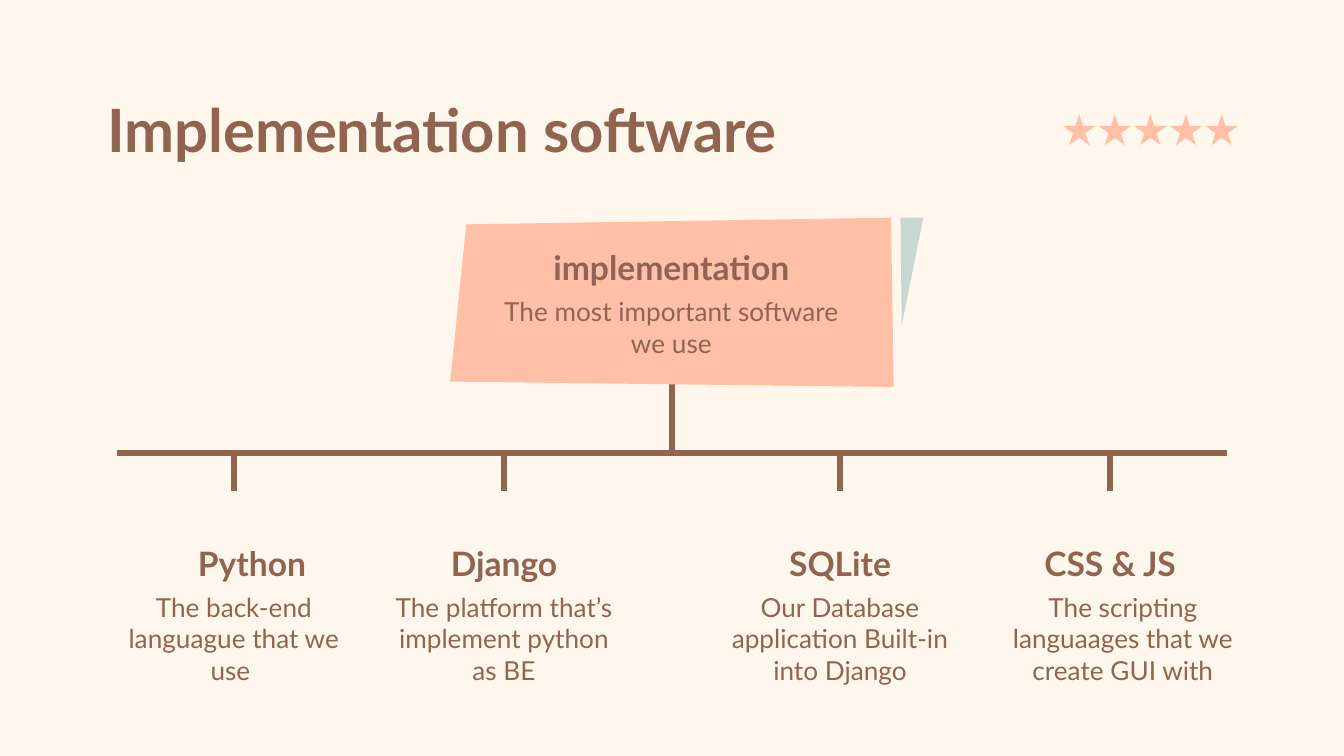
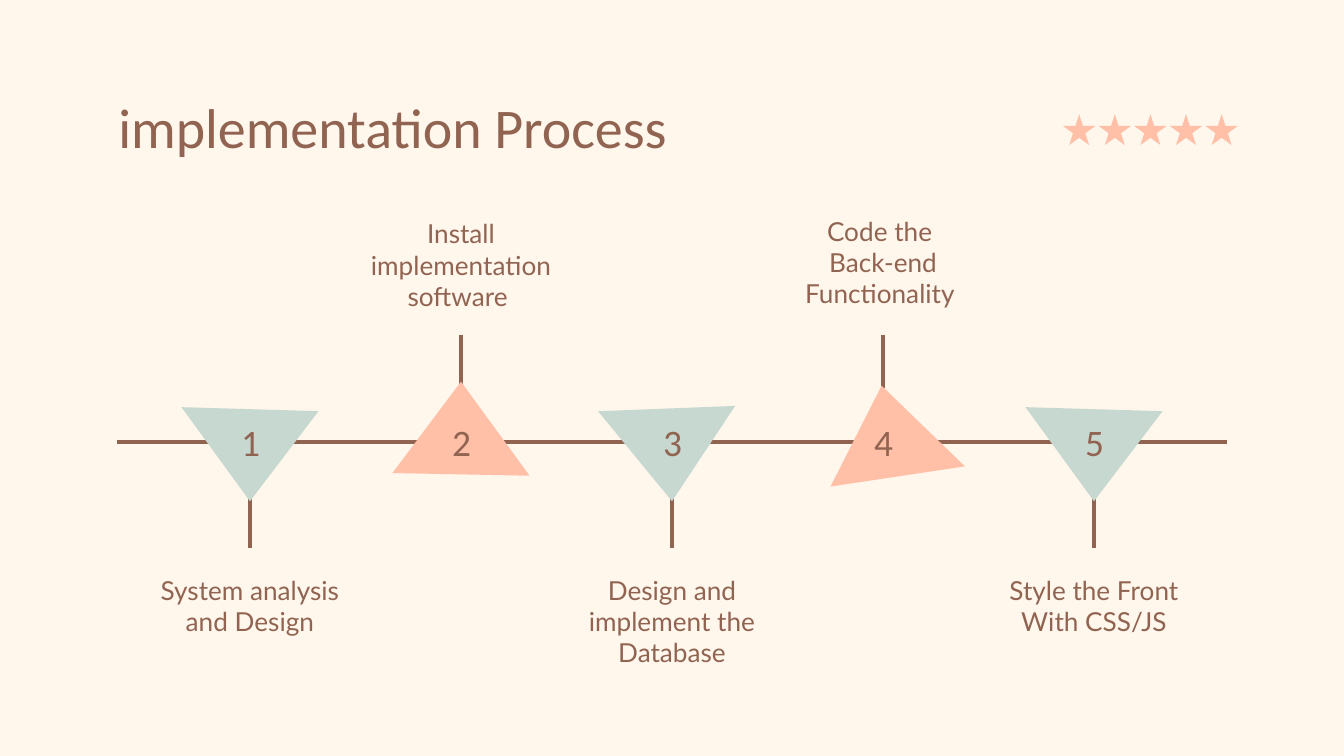
from lxml import etree
from pptx import Presentation
from pptx.dml.color import RGBColor
from pptx.enum.shapes import MSO_CONNECTOR, MSO_SHAPE
from pptx.enum.text import MSO_ANCHOR, MSO_AUTO_SIZE, PP_ALIGN
from pptx.oxml.ns import qn
from pptx.util import Inches, Pt

STRAIGHT = MSO_CONNECTOR.STRAIGHT
STAR = MSO_SHAPE.STAR_5_POINT
TOP, MIDDLE, BOTTOM = MSO_ANCHOR.TOP, MSO_ANCHOR.MIDDLE, MSO_ANCHOR.BOTTOM
LEFT, CENTER = PP_ALIGN.LEFT, PP_ALIGN.CENTER
NO_AUTOFIT = MSO_AUTO_SIZE.NONE

COLORS = {"cream": "FFF6EC", "brown": "916452", "peach": "FFC0A7", "mint": "C7D8D0"}
TITLE_ONLY = 5

STAR_COUNT = 5
STARS_BOX = (7.91, 0.85, 1.3, 0.23)
STAR_WIDTH = 0.24

TREE_BOX = (0.87, 1.62, 8.26, 3.48)
BRANCHES = [
    ("Python", "The back-end languague that we use ", 0.87, -0.04, 2.09, 1.82),
    ("Django", "The platform that’s implement python as BE", 2.88, 1.97, 1.82, 1.82),
    ("SQLite", "Our Database application Built-in into Django", 5.38, 4.47, 1.82, 1.82),
    ("CSS & JS", "The scripting languaages that we create GUI with", 7.39, 6.48, 1.82, 2.01),
]

TIMELINE_BOX = (0.87, 1.61, 8.26, 3.36)
STEP_GAP = 1.57
DOWN = [(0.51, -0.23), (0, 0.44), (-0.51, -0.26)]
DOWN_TILTED = [(0.47, -0.27), (0, 0.44), (-0.55, -0.23)]
UP = [(-0.51, 0.23), (0, -0.45), (0.51, 0.25)]
UP_TILTED = [(-0.39, 0.33), (-0.01, -0.42), (0.61, 0.18)]
STEPS = [
    ("System analysis and Design", DOWN, 0.88),
    ("Install implementation software ", UP, -1.66),
    ("Design and implement the Database", DOWN_TILTED, 0.88),
    ("Code the \nBack-end Functionality ", UP_TILTED, -1.68),
    ("Style the Front With CSS/JS", DOWN, 0.88),
]


def color(name):
    return RGBColor.from_string(COLORS[name])


def paint(shape, fill):
    shape.shadow.inherit = False
    shape.fill.solid()
    shape.fill.fore_color.rgb = color(fill)
    shape.line.fill.background()


def add_text(slide, text, box, size=14, font="Lato", bold=False,
             align=CENTER, anchor=TOP, shape=None):
    left, top, width, height = (Inches(value) for value in box)
    if shape is None:
        shape = slide.shapes.add_textbox(left, top, width, height)
    else:
        shape.left, shape.top, shape.width, shape.height = left, top, width, height
    frame = shape.text_frame
    frame.text = text
    frame.word_wrap = True
    frame.auto_size = NO_AUTOFIT
    frame.vertical_anchor = anchor
    frame.margin_left = frame.margin_right = Inches(0.1)
    frame.margin_top = frame.margin_bottom = Inches(0.1)
    for paragraph in frame.paragraphs:
        paragraph.alignment = align
        paragraph.font.size = Pt(size)
        paragraph.font.name = font
        paragraph.font.bold = bold
        paragraph.font.color.rgb = color("brown")


def add_line(slide, start, end, width):
    connector = slide.shapes.add_connector(
        STRAIGHT, *(Inches(value) for value in start + end))
    connector.line.color.rgb = color("brown")
    connector.line.width = Pt(width)
    etree.SubElement(connector._element.spPr, qn("a:effectLst"))


def add_polygon(slide, origin, points, fill):
    corners = [(Inches(origin[0] + x), Inches(origin[1] + y)) for x, y in points]
    builder = slide.shapes.build_freeform(*corners[0], scale=1.0)
    builder.add_line_segments(corners[1:], close=True)
    paint(builder.convert_to_shape(), fill)


def add_stars(slide, box):
    left, top, width, height = box
    step = (width - STAR_WIDTH) / (STAR_COUNT - 1)
    for index in range(STAR_COUNT):
        star = slide.shapes.add_shape(
            STAR, Inches(left + step * index), Inches(top), Inches(STAR_WIDTH), Inches(height))
        paint(star, "peach")


def add_slide(presentation, title, box, **text_format):
    slide = presentation.slides.add_slide(presentation.slide_layouts[TITLE_ONLY])
    slide.background.fill.solid()
    slide.background.fill.fore_color.rgb = color("cream")
    add_stars(slide, STARS_BOX)
    add_text(slide, title, box, shape=slide.shapes.title, **text_format)
    return slide


def add_heading_and_note(slide, heading, note, left, top, heading_width, note_width, note_height):
    add_text(slide, heading, (left, top, heading_width, 0.39), size=18, bold=True, anchor=BOTTOM)
    add_text(slide, note, (left, top + 0.25, note_width, note_height))


def add_tree(slide, box):
    left, top, width, height = box
    trunk = left + width / 2
    bar = top + 1.75
    add_line(slide, (left, bar), (left + width, bar), 3)
    add_line(slide, (trunk, top + 1.03), (trunk, bar), 3)
    for heading, note, tick, text_left, heading_width, note_width in BRANCHES:
        add_line(slide, (left + tick, bar), (left + tick, bar + 0.28), 3)
        add_heading_and_note(slide, heading, note, left + text_left, top + height - 1.05,
                             heading_width, note_width, 0.8)
    add_polygon(slide, (trunk, top), [(1.7, 0), (1.87, 0), (1.71, 0.8)], "mint")
    add_polygon(slide, (trunk, top),
                [(1.63, 0), (1.65, 1.26), (-1.65, 1.22), (-1.53, 0.05)], "peach")
    add_heading_and_note(slide, "implementation", "The most important software we use",
                         trunk - 1.35, top + 0.23, 2.69, 2.69, 0.54)


def add_timeline(slide, box):
    left, top, width, height = box
    axis = top + height / 2
    add_line(slide, (left, axis), (left + width, axis), 2.25)
    for index, (label, triangle, label_offset) in enumerate(STEPS):
        center = left + width / 2 + (index - 2) * STEP_GAP
        below = label_offset > 0
        stem = axis + (0.39 if below else -0.8)
        add_line(slide, (center, stem), (center, stem + 0.4), 2.25)
        add_polygon(slide, (center, axis), triangle, "mint" if below else "peach")
        add_text(slide, label, (center - 0.81, axis + label_offset, 1.62, 0.79),
                 anchor=TOP if below else BOTTOM)
        add_text(slide, str(index + 1), (center - 0.43, axis - 0.16, 0.87, 0.31),
                 size=20, font="Calibri", anchor=MIDDLE)


def main():
    presentation = Presentation()
    presentation.slide_width = Inches(10)
    presentation.slide_height = Inches(10) * 9 // 16
    software = add_slide(presentation, "Implementation software",
                         (0.42, 0.59, 5.74, 0.63), size=32, bold=True)
    add_tree(software, TREE_BOX)
    process = add_slide(presentation, "implementation Process",
                        (0.78, 0.59, 8.44, 0.63), size=30, font="Calibri", align=LEFT)
    add_timeline(process, TIMELINE_BOX)
    presentation.save("out.pptx")


if __name__ == "__main__":
    main()
